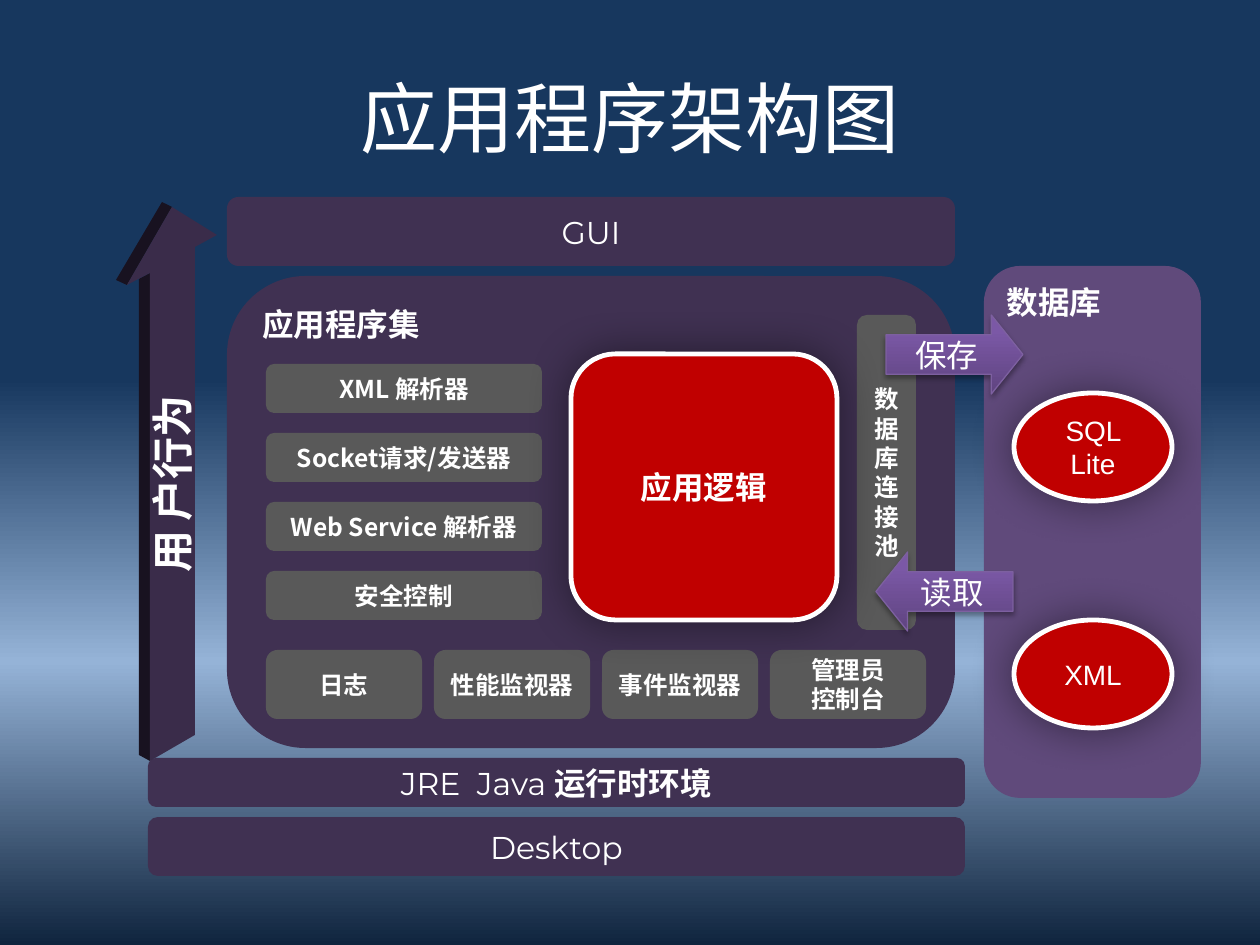
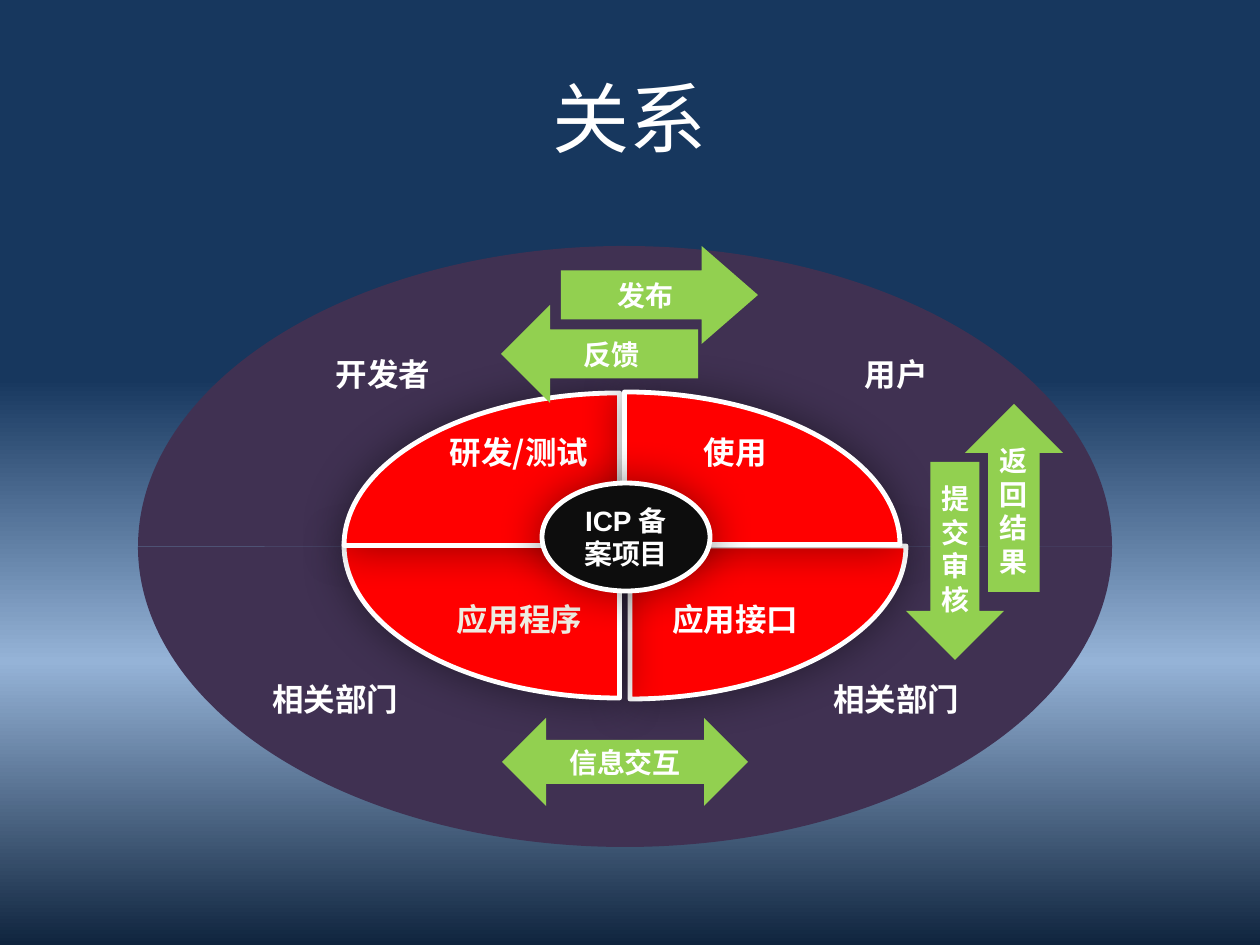
from lxml.etree import SubElement
from pptx import Presentation
from pptx.dml.color import RGBColor as Rgb
from pptx.enum.shapes import MSO_SHAPE as Kind
from pptx.enum.text import MSO_ANCHOR as Anchor, PP_ALIGN as Align
from pptx.oxml.ns import qn
from pptx.util import Emu, Pt

# Colours and fonts
WHITE = Rgb(0xFF, 0xFF, 0xFF)
CREAM = Rgb(0xEE, 0xEC, 0xE1)
BLACK = Rgb(0, 0, 0)
INK = Rgb(0x0D, 0x0D, 0x0D)
PLUM = Rgb(0x40, 0x31, 0x52)
FACE = Rgb(0x3A, 0x2C, 0x4A)
EDGE = Rgb(0x18, 0x12, 0x20)
LILAC = Rgb(0x60, 0x4A, 0x7B)
RIM = Rgb(0x7D, 0x60, 0xA0)
GRAY = Rgb(0x59, 0x59, 0x59)
CRIMSON = Rgb(0xC0, 0, 0)
RED = Rgb(0xFF, 0, 0)
GREEN = Rgb(0x92, 0xD0, 0x50)
SKY = [(0, Rgb(0x17, 0x37, 0x5E)), (40, Rgb(0x17, 0x37, 0x5E)),
       (70, Rgb(0x95, 0xB3, 0xD7)), (100, Rgb(0x0F, 0x24, 0x3E))]
VIOLET = [(0, Rgb(0x5F, 0x44, 0x80)), (80, Rgb(0x7B, 0x58, 0xA6)),
          (100, Rgb(0x7C, 0x57, 0xA8))]
HAN, MONT, ARIAL, CALIBRI = "Noto Sans CJK SC", "Montserrat", "Arial", "Calibri"
GLOW = (43, 25, 0, 45)  # alpha, blur, distance, angle
DROP = (35, 3.1, 1.8, 90)

# Slide 1 content: text and box (left, top, width, height)
BASES = [("Desktop", (148, 817, 817, 59)), ("GUI", (227, 197, 728, 69))]
RUNTIME = [("JRE  Java ", MONT, False), ("运行时环境", HAN, True)]
TOOLS = ["XML 解析器", "Socket请求/发送器", "Web Service 解析器", "安全控制"]
WATCH = ["日志", "性能监视器", "事件监视器", "管理员\n控制台"]
STORES = ["SQL Lite", "XML"]
FLOWS = [("读取", Kind.LEFT_ARROW, (876, 552, 137, 79)),
         ("保存", Kind.RIGHT_ARROW, (886, 315, 137, 79))]
ACTION = "用 户行为"
FRONT = [(172, 207), (217, 235), (195, 247), (195, 735),
         (150, 761), (150, 273), (127, 285)]
SIDES = [[(162, 202), (172, 207), (127, 285), (116, 280)],
         [(139, 279), (150, 273), (150, 761), (139, 755)]]

# Slide 2 content: quarters run clockwise from the lower right
RING = (138, 246, 974, 601)
QUARTERS = [(354, 393, 552, 306), (344, 392, 551, 306),
            (344, 393, 551, 305), (349, 392, 551, 305)]
LABELS = [("使用", 735, 452, WHITE), ("应用接口", 735, 619, WHITE),
          ("应用程序", 519, 619, CREAM), ("研发/测试", 519, 452, WHITE),
          ("开发者", 383, 374, WHITE), ("用户", 896, 374, WHITE),
          ("相关部门", 335, 699, WHITE), ("相关部门", 896, 699, WHITE)]
ARROWS = [("发布", Kind.RIGHT_ARROW, (561, 246, 197, 98), (0.5, 0.575)),
          ("反馈", Kind.LEFT_ARROW, (501, 305, 197, 98), (0.5, 0.5)),
          ("提交审核", Kind.DOWN_ARROW, (906, 462, 98, 198), (0.5, 0.5)),
          ("返回结果", Kind.UP_ARROW, (965, 404, 98, 188), (0.526, 0.5)),
          ("信息交互", Kind.LEFT_RIGHT_ARROW, (502, 718, 246, 88), (0.5, 0.5))]
STACKED = (Kind.DOWN_ARROW, Kind.UP_ARROW)


def px(n):
    return Emu(round(n * 914400 / 126))


def blend(fill, root, stops, angle):
    """Fill with a linear gradient of any number of stops."""
    fill.gradient()
    fill.gradient_angle = angle
    ramp = next(root.iter(qn("a:gsLst")))
    for old in list(ramp):
        ramp.remove(old)
    for pos, color in stops:
        stop = SubElement(ramp, qn("a:gs"), pos=str(pos * 1000))
        SubElement(stop, qn("a:srgbClr"), val=str(color))


def shade(shape, alpha, blur, dist, angle):
    """Add an outer shadow."""
    effects = next(shape.element.iter(qn("a:effectLst")))
    shadow = SubElement(effects, qn("a:outerShdw"), blurRad=str(Pt(blur)),
                        dist=str(Pt(dist)), dir=str(angle * 60000),
                        algn="ctr", rotWithShape="0")
    color = SubElement(shadow, qn("a:srgbClr"), val=str(BLACK))
    SubElement(color, qn("a:alpha"), val=str(alpha * 1000))


def style(font, size, name, bold, color=WHITE):
    font.size, font.name, font.bold = Pt(size), name, bold
    font.color.rgb = color


def han(shape):
    """Give Chinese characters their own font."""
    for latin in list(shape.element.iter(qn("a:latin"))):
        east = latin.makeelement(qn("a:ea"), {"typeface": HAN})
        latin.addnext(east)


def write(shape, text, size=18, name=HAN, bold=True, color=WHITE,
          align=Align.CENTER, anchor=Anchor.MIDDLE, pad=None, lead=None):
    frame = shape.text_frame
    frame.word_wrap = True
    frame.vertical_anchor = anchor
    if pad is not None:
        frame.margin_left = frame.margin_right = px(pad)
    frame.text = text
    for para in frame.paragraphs:
        para.alignment = align
        if lead:
            para.line_spacing = Pt(lead)
        style(para.font, size, name, bold, color)
    han(shape)


def paint(shape, color, line=None, width=2.75, glow=None):
    shape.shadow.inherit = False
    if isinstance(color, list):
        blend(shape.fill, shape.element, color, 90)
    else:
        shape.fill.solid()
        shape.fill.fore_color.rgb = color
    if line is None:
        shape.line.fill.background()
    else:
        shape.line.color.rgb = line
        shape.line.width = Pt(width)
    if glow:
        shade(shape, *glow)
    return shape


def block(slide, kind, box, color, adj=(), **look):
    shape = slide.shapes.add_shape(kind, *map(px, box))
    for i, value in enumerate(adj):
        shape.adjustments[i] = value
    return paint(shape, color, **look)


def outline(slide, points, color):
    pen = slide.shapes.build_freeform(*points[0], scale=914400 / 126)
    pen.add_line_segments(points[1:], close=True)
    return paint(pen.convert_to_shape(), color)


def start(deck, text):
    """Add a slide with its title."""
    slide = deck.slides.add_slide(deck.slide_layouts[5])
    title = slide.shapes.title
    title.left, title.top, title.width, title.height = map(
        px, (63, 38, 1134, 158))
    write(title, text, 44, CALIBRI, False)
    return slide


def draw_stack(deck):
    slide = start(deck, "应用程序架构图")
    box = Kind.ROUNDED_RECTANGLE

    # Platform layers
    for text, place in BASES:
        write(block(slide, box, place, PLUM), text, name=MONT, bold=False)
    layer = block(slide, box, (148, 758, 817, 49), PLUM)
    layer.text_frame.vertical_anchor = Anchor.MIDDLE
    para = layer.text_frame.paragraphs[0]
    para.alignment = Align.CENTER
    for text, name, bold in RUNTIME:
        run = para.add_run()
        run.text = text
        style(run.font, 18, name, bold)
    han(layer)

    # Application set and database panels
    for text, place, color in [("应用程序集", (227, 276, 728, 472), PLUM),
                               ("数据库", (984, 266, 217, 532), LILAC)]:
        write(block(slide, box, place, color), text,
              align=Align.LEFT, anchor=Anchor.TOP)

    # Modules
    for i, text in enumerate(TOOLS):
        write(block(slide, box, (266, 364 + 69 * i, 276, 49), GRAY), text, 14)
    for i, text in enumerate(WATCH):
        write(block(slide, box, (266 + 168 * i, 650, 156, 69), GRAY),
              text, 14, lead=16.8)
    pool = block(slide, box, (857, 315, 59, 315), GRAY)
    write(pool, "数据库连接池", 14, lead=16.8)
    logic = block(slide, box, (571, 354, 266, 266), CRIMSON,
                  line=WHITE, glow=GLOW)
    write(logic, "应用逻辑")

    # User action arrow with its dark edge
    for side in SIDES:
        outline(slide, side, EDGE)
    front = outline(slide, FRONT, FACE)
    write(front, ACTION, 24)
    next(front.element.iter(qn("a:bodyPr"))).set("vert", "vert270")

    # Stores and data flows
    for i, text in enumerate(STORES):
        store = block(slide, Kind.OVAL, (1014, 393 + 227 * i, 158, 108),
                      CRIMSON, line=WHITE, glow=GLOW)
        write(store, text, 16, ARIAL, False)
    for text, kind, place in FLOWS:
        flow = block(slide, kind, place, VIOLET, (0.5, 0.401),
                     line=RIM, width=0.75, glow=DROP)
        write(flow, text, name=CALIBRI, bold=False)


def draw_links(deck):
    slide = start(deck, "关系")

    # Outer and inner quarters; a full turn is 216 units
    for i in range(4):
        block(slide, Kind.PIE, RING, PLUM, (54 * i, 54 * (i + 1) % 216))
    for i, place in enumerate(QUARTERS):
        block(slide, Kind.PIE, place, RED, (54 * i, 54 * (i + 1) % 216),
              line=WHITE, glow=GLOW)

    # Labels, placed by their centres
    for text, x, y, color in LABELS:
        label = slide.shapes.add_textbox(*map(px, (x - 109, y - 30, 218, 59)))
        write(label, text, color=color)

    # Hub
    hub = block(slide, Kind.OVAL, (542, 483, 168, 108), INK,
                line=WHITE, glow=GLOW)
    write(hub, "ICP 备案项目", 16, ARIAL, lead=19.2)

    # Exchange arrows
    for text, kind, place, adj in ARROWS:
        arrow = block(slide, kind, place, GREEN, adj)
        if kind in STACKED:
            write(arrow, text, 16, pad=4, lead=19.2)
        else:
            write(arrow, text, 16)


def main():
    deck = Presentation()
    deck.slide_width, deck.slide_height = px(1260), px(945)
    master = deck.slide_master
    blend(master.background.fill, master.element, SKY, 270)
    draw_stack(deck)
    draw_links(deck)
    deck.save("out.pptx")


if __name__ == "__main__":
    main()
